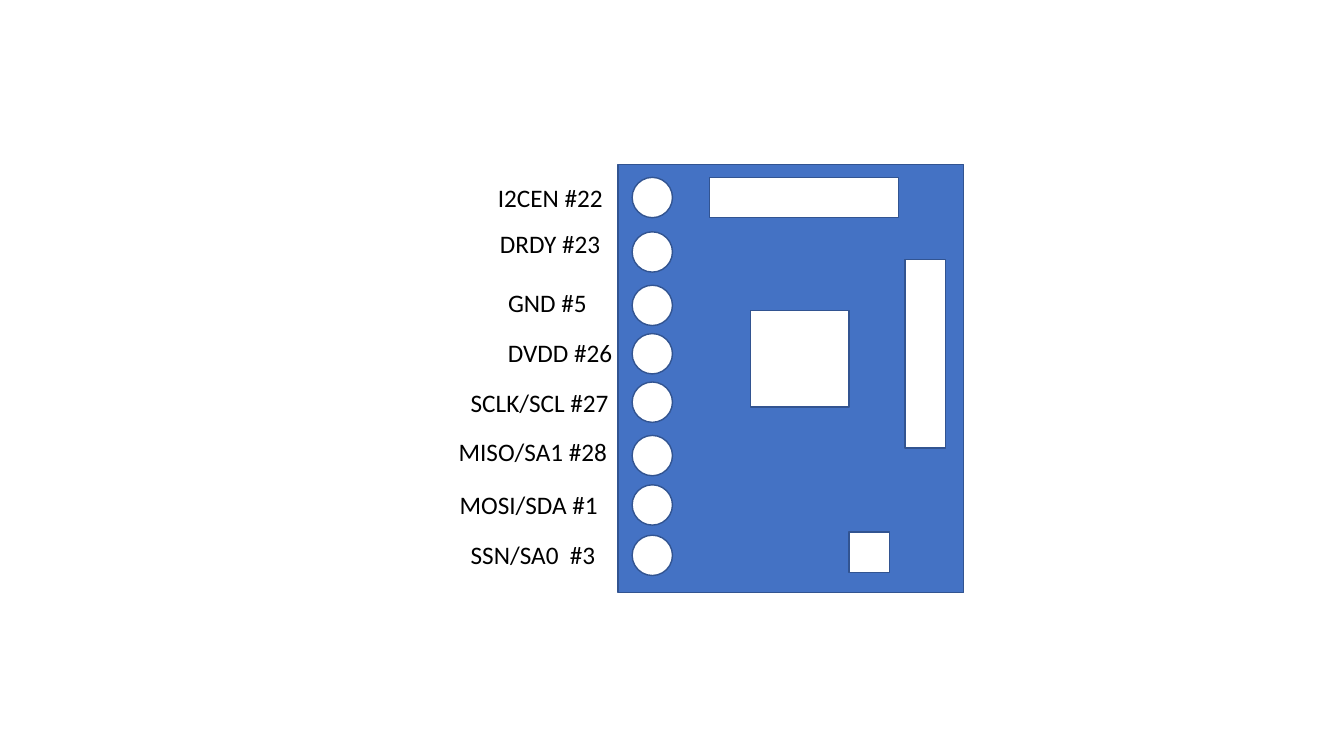
import pptx
import pptx.dml.color
import pptx.enum.shapes
import pptx.enum.text
import pptx.util

Inches = pptx.util.Inches
SHAPES = pptx.enum.shapes.MSO_SHAPE


def color(hex_string):
    """Return the RGB colour for a hex string."""
    return pptx.dml.color.RGBColor.from_string(hex_string)


def add_part(group, kind, left, top, width, height, fill="FFFFFF", rotation=0):
    """Add one outlined part of the board to the group."""
    part = group.shapes.add_shape(
        kind, Inches(left), Inches(top), Inches(width), Inches(height))
    part.shadow.inherit = False
    part.fill.solid()
    part.fill.fore_color.rgb = color(fill)
    part.line.color.rgb = color("325491")
    part.line.width = pptx.util.Pt(1)
    part.rotation = rotation


deck = pptx.Presentation()
deck.slide_width = Inches(13.33)
deck.slide_height = Inches(7.5)
page = deck.slides.add_slide(deck.slide_layouts[6])
board = page.shapes.add_group_shape()

add_part(board, SHAPES.RECTANGLE, 6.13, 1.63, 3.43, 4.25, fill="4472C4")

# Pins: hole top, label text, label left, label top, label width
pins = [
    (1.76, "I2CEN #22", 4.84, 1.76, 1.26),
    (2.30, "DRDY #23", 4.86, 2.22, 1.26),
    (2.83, "GND #5", 4.94, 2.80, 1.18),
    (3.31, "DVDD #26", 4.94, 3.30, 1.26),
    (3.79, "SCLK/SCL #27", 4.57, 3.79, 1.59),
    (4.32, "MISO/SA1 #28", 4.45, 4.28, 1.69),
    (4.81, "MOSI/SDA #1", 4.46, 4.81, 1.69),
    (5.31, "SSN/SA0  #3", 4.57, 5.30, 1.69),
]
for hole_top, label, left, top, width in pins:
    add_part(board, SHAPES.OVAL, 6.27, hole_top, 0.4, 0.4)
    box = board.shapes.add_textbox(
        Inches(left), Inches(top), Inches(width), Inches(0.4))
    frame = box.text_frame
    frame.word_wrap = True
    frame.auto_size = pptx.enum.text.MSO_AUTO_SIZE.SHAPE_TO_FIT_TEXT
    frame.text = label
    font = frame.paragraphs[0].runs[0].font
    font.name = "Calibri"
    font.size = pptx.util.Pt(18)
    font.color.rgb = color("000000")

# Components: left, top, width, height, rotation
components = [
    (7.04, 1.76, 1.87, 0.40, 0),
    (8.24, 3.31, 1.87, 0.40, 90),
    (8.42, 5.28, 0.40, 0.40, 90),
    (7.45, 3.07, 0.96, 0.98, 90),
]
for left, top, width, height, rotation in components:
    add_part(board, SHAPES.RECTANGLE, left, top, width, height, rotation=rotation)

deck.save("out.pptx")
